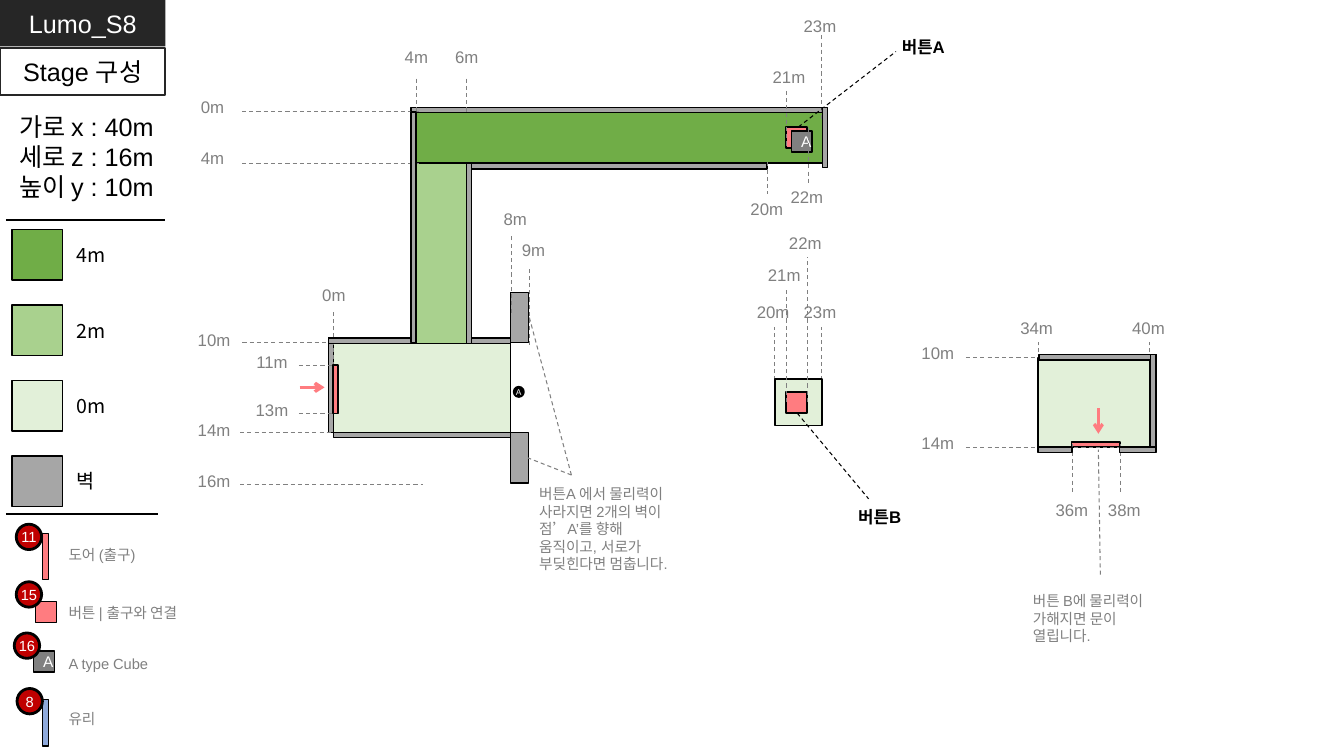
import dataclasses
import typing

import lxml.etree
import pptx
import pptx.dml.color
import pptx.enum.dml
import pptx.enum.shapes
import pptx.enum.text
import pptx.oxml.ns
import pptx.util

Cm = pptx.util.Cm
Pt = pptx.util.Pt
qn = pptx.oxml.ns.qn
Kind = pptx.enum.shapes.MSO_SHAPE
Fit = pptx.enum.text.MSO_AUTO_SIZE
Align = pptx.enum.text.PP_ALIGN
KOREAN = "Noto Sans CJK KR"
BLACK, WHITE, GREY, WALL = "000000", "FFFFFF", "808080", "A6A6A6"
DARK, HIGH, MID, LOW = "262626", "70AD47", "A9D18E", "E2F0D9"
PINK, RED, BLUE = "FF7C80", "C00000", "8FAADC"


def tint(code):
    return pptx.dml.color.RGBColor.from_string(code)


def write(frame, text, size, color, align=Align.CENTER, font="Arial", bold=False):
    frame.text = text
    for para in frame.paragraphs:
        para.alignment = align
        para.font.size = Pt(size)
        para.font.bold = bold
        para.font.name = font
        para.font.color.rgb = tint(color)
        props = para._p.pPr.find(qn("a:defRPr"))
        lxml.etree.SubElement(props, qn("a:ea"), typeface=KOREAN)


@dataclasses.dataclass
class Area:
    page: typing.Any
    x: float
    y: float
    w: float
    h: float

    def box(self, x, y, w, h, fill, edge=BLACK, width=1, kind=Kind.RECTANGLE):
        shape = self.page.shapes.add_shape(
            kind, Cm(self.x + x), Cm(self.y + y), Cm(w), Cm(h))
        shape.shadow.inherit = False
        shape.fill.solid()
        shape.fill.fore_color.rgb = tint(fill)
        shape.line.color.rgb = tint(edge)
        shape.line.width = Pt(width)
        return shape

    def walls(self, *spots):
        for spot in spots:
            self.box(*spot, WALL)

    def cube(self, x, y):
        write(self.box(x, y, 0.53, 0.53, GREY).text_frame, "A", 11, WHITE)

    def line(self, x1, y1, x2, y2, color=BLACK, width=1.0):
        link = self.page.shapes.add_connector(
            pptx.enum.shapes.MSO_CONNECTOR.STRAIGHT,
            Cm(self.x + x1), Cm(self.y + y1), Cm(self.x + x2), Cm(self.y + y2))
        link.line.color.rgb = tint(color)
        link.line.width = Pt(width)
        lxml.etree.SubElement(link._element.spPr, qn("a:effectLst"))
        return link

    def dash(self, x1, y1, x2, y2, color=GREY):
        link = self.line(x1, y1, x2, y2, color, 0.75)
        link.line.dash_style = pptx.enum.dml.MSO_LINE.DASH

    def arrow(self, x1, y1, x2, y2):
        link = self.line(x1, y1, x2, y2, PINK, 2.25)
        lxml.etree.SubElement(link.line._ln, qn("a:tailEnd"), type="arrow")

    def note(self, text, x, y, w, h, size=10.5, color=GREY, align=Align.LEFT, **style):
        frame = self.page.shapes.add_textbox(
            Cm(self.x + x), Cm(self.y + y), Cm(w), Cm(h)).text_frame
        frame.word_wrap = True
        frame.auto_size = Fit.SHAPE_TO_FIT_TEXT
        write(frame, text, size, color, align, **style)

    def mark(self, text, mid, y):
        self.note(text, mid - 0.67, y, 1.35, 0.75, 12, align=Align.CENTER)

    def name(self, text, mid, y):
        self.note(text, mid - 0.89, y, 1.78, 0.75, 12, BLACK, Align.CENTER, bold=True)


def header(area):
    title = area.page.shapes.title
    title.left, title.top = Cm(area.x), Cm(area.y)
    title.width, title.height = Cm(area.w), Cm(1.17)
    title.fill.solid()
    title.fill.fore_color.rgb = tint(DARK)
    part = area.box(0, area.h - 1.17, area.w, 1.17, WHITE, DARK, 1.5)
    for shape, text, color in ((title, "Lumo_S8", WHITE), (part, "Stage 구성", BLACK)):
        frame = shape.text_frame
        frame.auto_size = Fit.NONE
        frame.vertical_anchor = pptx.enum.text.MSO_ANCHOR.MIDDLE
        write(frame, text, 18, color)


def legend(area):
    area.note("가로 x : 40m\n세로 z : 16m\n높이 y : 10m", 0.23, 0, 5.59, 2.57, 18, BLACK)
    area.line(0.15, 2.87, area.w, 2.87)
    rows = (("4m", HIGH), ("2m", MID), ("0m", LOW), ("벽", WALL))
    for row, (text, fill) in enumerate(rows):
        y = 3.12 + 1.9 * row
        area.box(0.3, y, 1.27, 1.27, fill)
        area.note(text, 1.68, y + 0.21, 1.8, 0.84, 14, BLACK, font=KOREAN)
    area.line(0.15, area.h, 3.99, area.h)


def icons(area):
    rows = (
        ("11", "도어 (출구)", 0.41, 0.21),
        ("15", "버튼 | 출구와 연결", 0.41, 1.66),
        ("16", "A type Cube", 0.36, 2.95),
        ("8", "유리", 0.43, 4.35),
    )
    area.box(1.07, 0.44, 0.15, 1.17, PINK)
    area.box(0.89, 2.16, 0.53, 0.53, PINK)
    area.cube(0.84, 3.41)
    area.box(1.07, 4.63, 0.15, 1.17, BLUE)
    for count, text, x, y in rows:
        frame = area.box(x, y, 0.64, 0.64, RED, width=2, kind=Kind.OVAL).text_frame
        frame.margin_left = frame.margin_right = 0
        frame.margin_top = frame.margin_bottom = 0
        frame.word_wrap = False
        write(frame, count, 10.5, WHITE)
        area.note(text, 1.48, y + 0.42, 4, 0.71)


def room(area):
    w, h = area.w, area.h
    area.walls((-0.13, -0.13, 0.13, 2.39))
    area.dash(4.93, 0.05, 4.93, -1.93)
    area.mark("9m", 5.03, -2.72)
    area.box(0, 0, w, h, LOW)
    area.dash(0, 1.14, 0, -0.84)
    area.mark("0m", 0, -1.6)
    area.box(-0.02, 0.56, 0.13, 1.22, PINK)
    area.arrow(-0.86, 1.12, -0.23, 1.12)
    sides = (
        ("10m", 0, -3.02, -2.3, 2.24), ("11m", 0.56, -1.56, -0.88, 0.02),
        ("13m", 1.78, -1.56, -0.88, 0.02), ("14m", h, -3.02, -2.36, 2.24),
        ("16m", 3.56, -3.02, -2.36, 2.24),
    )
    for text, y, mid, start, end in sides:
        area.dash(start, y, end, y)
        area.mark(text, mid, y - 0.46)
    area.walls((w, -1.27, 0.46, 1.27), (w, h, 0.46, 1.27), (0, h, w, 0.13),
               (-0.13, -0.12, 2.21, 0.13), (3.35, -0.12, 1.1, 0.13))
    area.dash(4.47, -0.76, 4.47, -2.72)
    area.mark("8m", 4.57, -3.51)
    dot = area.box(4.55, 1.12, 0.23, 0.23, BLACK, width=2, kind=Kind.OVAL)
    write(dot.text_frame, "A", 6, WHITE)
    area.dash(5.99, 3.33, 4.9, 2.9)
    area.dash(5.99, 3.33, 4.93, -0.64)
    area.note("버튼A 에서 물리력이 사라지면 2개의 벽이 점’A’를 향해 움직이고, "
              "서로가 부딪힌다면 멈춥니다.", 4.93, 3.45, 4.01, 2.49)


def hall(area):
    w, h = area.w, area.h
    area.walls((-0.13, -0.13, 10.36, 0.13), (1.35, h, 7.49, 0.15))
    for text, x in (("4m", 0), ("6m", 1.27)):
        area.dash(x, -0.86, x, 3.53)
        area.mark(text, x, -1.78)
    area.box(0, h, 1.27, 4.54, MID)
    area.box(0, 0, w, h, HIGH)
    for text, y in (("0m", -0.03), ("4m", h)):
        area.dash(-4.39, y, 0.08, y)
        area.mark(text, -5.14, y - 0.5)
    area.box(9.32, 0.36, 0.53, 0.53, PINK)
    area.cube(9.45, 0.46)
    tops = (
        ("23m", 10.21, -1.95, 0.16, 10.17, -2.56), ("21m", 9.32, -0.55, 0.89, 9.39, -1.29),
        ("22m", 9.88, 0.39, 1.83, 9.84, 1.73), ("20m", 8.86, 1.25, 2.06, 8.83, 2.04),
    )
    for text, x, start, end, mid, y in tops:
        area.dash(x, start, x, end)
        area.mark(text, mid, y)
    area.dash(9.63, 0.36, 12.09, -1.54, BLACK)
    area.name("버튼A", 12.78, -2.05)
    area.walls((1.27, h, 0.13, 4.55), (-0.13, -0.02, 0.13, 5.82), (w, -0.13, 0.13, 1.52))


def pad(area):
    for text, x in (("20m", 0), ("23m", 1.18)):
        area.dash(x, 0.58, x, -1.3)
        area.mark(text, x - 0.05, -2.06)
    area.box(0, 0, area.w, area.h, LOW)
    area.box(0.28, 0.33, 0.53, 0.53, PINK)
    for text, x, y in (("21m", 0.28, -2.26), ("22m", 0.81, -3.07)):
        area.dash(x, 0.58, x, y)
        area.mark(text, x - 0.05, y - 0.74)
    area.dash(0.56, 0.86, 2.36, 3.02, BLACK)
    area.name("버튼B", 2.64, 3.1)


def leave(area):
    w, h = area.w, area.h
    for text, x in (("34m", 0), ("40m", w)):
        area.dash(x, 1.5, x, -0.4)
        area.mark(text, x - 0.04, -1.15)
    area.box(0, 0, w, h, LOW)
    area.box(0.85, 2.12, 1.22, 0.13, PINK)
    area.arrow(1.52, 1.27, 1.52, 1.91)
    for text, x, mid in (("36m", 0.86, 0.85), ("38m", 2.08, 2.17)):
        area.dash(x, 2.18, x, 3.4)
        area.mark(text, mid, 3.45)
    area.dash(1.57, 5.46, 1.52, 2.31)
    area.note("버튼 B에 물리력이 가해지면 문이 열립니다.", -0.38, 5.77, 4.01, 1.6)
    for text, y in (("10m", 0), ("14m", h)):
        area.dash(-1.82, y, 2.72, y)
        area.mark(text, -2.53, y - 0.5)
    area.walls((0.02, -0.08, 2.95, 0.13), (2.84, -0.08, 0.13, 2.39),
               (2.06, 2.24, 0.91, 0.15), (0, 2.24, 0.86, 0.15))


deck = pptx.Presentation()
deck.slide_width, deck.slide_height = Cm(33.87), Cm(19.05)
page = deck.slides.add_slide(deck.slide_layouts[5])
header(Area(page, 0, 0, 4.17, 2.39))
legend(Area(page, 0, 2.67, 4.17, 10.28))
icons(Area(page, 0, 13, 5.5, 5.8))
room(Area(page, 8.41, 8.64, 4.45, 2.26))
hall(Area(page, 10.49, 2.84, 10.24, 1.27))
pad(Area(page, 19.53, 9.55, 1.19, 1.17))
leave(Area(page, 26.16, 9.02, 2.82, 2.26))
deck.save("out.pptx")
